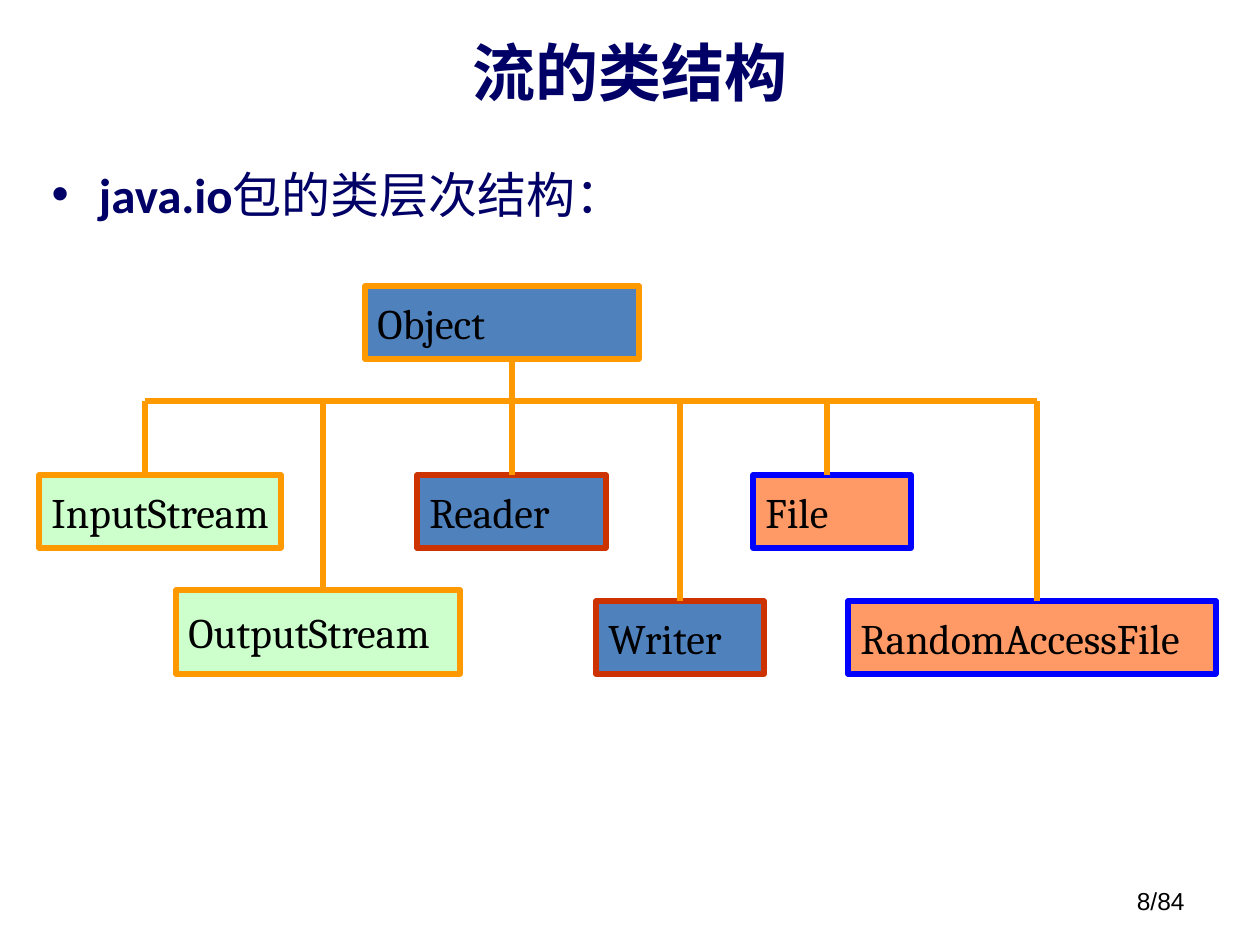
from pptx import Presentation, util as u
from pptx.dml.color import RGBColor
from pptx.enum import shapes, text
from pptx.oxml.ns import qn
from lxml import etree

NAVY = RGBColor(0x00, 0x00, 0x66)
BLACK = RGBColor(0x00, 0x00, 0x00)
ORANGE = RGBColor(0xFF, 0x99, 0x00)
STEEL = RGBColor(0x4F, 0x81, 0xBD)
MINT = RGBColor(0xCC, 0xFF, 0xCC)
RUST = RGBColor(0xCC, 0x33, 0x00)
SALMON = RGBColor(0xFF, 0x99, 0x66)
BLUE = RGBColor(0x00, 0x00, 0xFF)

PX_PER_INCH = 126
HEADING = "流的类结构"
INTRO = [("java.io", True), ("包的类层次结构：", False)]
PAGE = "8/84"

ROOT = ("Object", (365, 286, 274, 73), STEEL, ORANGE)
SUBCLASSES = [
    ("InputStream", (39, 475, 242, 73), MINT, ORANGE, 145),
    ("OutputStream", (176, 590, 284, 84), MINT, ORANGE, 323),
    ("Reader", (417, 475, 189, 73), STEEL, RUST, 512),
    ("Writer", (596, 601, 168, 73), STEEL, RUST, 680),
    ("File", (753, 475, 158, 73), SALMON, BLUE, 827),
    ("RandomAccessFile", (848, 601, 368, 73), SALMON, BLUE, 1037),
]
TRUNK_X, BUS_Y = 512, 401

TITLE_FONT = dict(name="Calibri", size=u.Pt(36), bold=True)
INTRO_FONT = dict(name="Calibri", size=u.Pt(28))
CLASS_FONT = dict(name="Cambria", size=u.Pt(24))
PAGE_FONT = dict(name="Arial", size=u.Pt(14))


def px(length):
    return u.Inches(length / PX_PER_INCH)


def place(part, box):
    for side, length in zip(("left", "top", "width", "height"), box):
        setattr(part, side, px(length))


def write(paragraph, words, font, color, **extra):
    run = paragraph.add_run()
    run.text = words
    for key, value in {**font, **extra}.items():
        setattr(run.font, key, value)
    run.font.color.rgb = color


def add_class(slide, name, box, fill, border):
    node = slide.shapes.add_shape(shapes.MSO_SHAPE.RECTANGLE, *map(px, box))
    node.shadow.inherit = False
    node.fill.solid()
    node.fill.fore_color.rgb = fill
    node.line.color.rgb = border
    node.line.width = u.Pt(3)
    frame = node.text_frame
    frame.word_wrap = False
    frame.vertical_anchor = text.MSO_ANCHOR.MIDDLE
    frame.paragraphs[0].alignment = text.PP_ALIGN.LEFT
    write(frame.paragraphs[0], name, CLASS_FONT, BLACK)


def add_branch(slide, *ends):
    branch = slide.shapes.add_connector(shapes.MSO_CONNECTOR.STRAIGHT, *map(px, ends))
    branch.line.color.rgb = ORANGE
    branch.line.width = u.Pt(3)
    etree.SubElement(branch._element.spPr, qn("a:effectLst"))


def main():
    deck = Presentation()
    deck.slide_width, deck.slide_height = u.Inches(10), u.Inches(7.5)
    slide = deck.slides.add_slide(deck.slide_layouts[1])

    heading, intro = slide.placeholders
    place(heading, (63, 38, 1134, 67))
    place(intro, (39, 158, 1152, 81))
    for part in (heading, intro):
        part.text_frame.auto_size = text.MSO_AUTO_SIZE.NONE
    write(heading.text_frame.paragraphs[0], HEADING, TITLE_FONT, NAVY)
    for words, bold in INTRO:
        write(intro.text_frame.paragraphs[0], words, INTRO_FONT, NAVY, bold=bold)

    page = slide.shapes.add_textbox(*map(px, (903, 876, 294, 50))).text_frame
    page.word_wrap = True
    page.vertical_anchor = text.MSO_ANCHOR.MIDDLE
    page.paragraphs[0].alignment = text.PP_ALIGN.RIGHT
    write(page.paragraphs[0], PAGE, PAGE_FONT, BLACK)

    add_class(slide, *ROOT)
    _, (_, root_top, _, root_height), *_ = ROOT
    drops = [drop for *_, drop in SUBCLASSES]
    add_branch(slide, TRUNK_X, root_top + root_height, TRUNK_X, BUS_Y)
    add_branch(slide, min(drops), BUS_Y, max(drops), BUS_Y)
    for name, box, fill, border, drop in SUBCLASSES:
        add_class(slide, name, box, fill, border)
        add_branch(slide, drop, BUS_Y, drop, box[1])

    deck.save("out.pptx")


if __name__ == "__main__":
    main()
